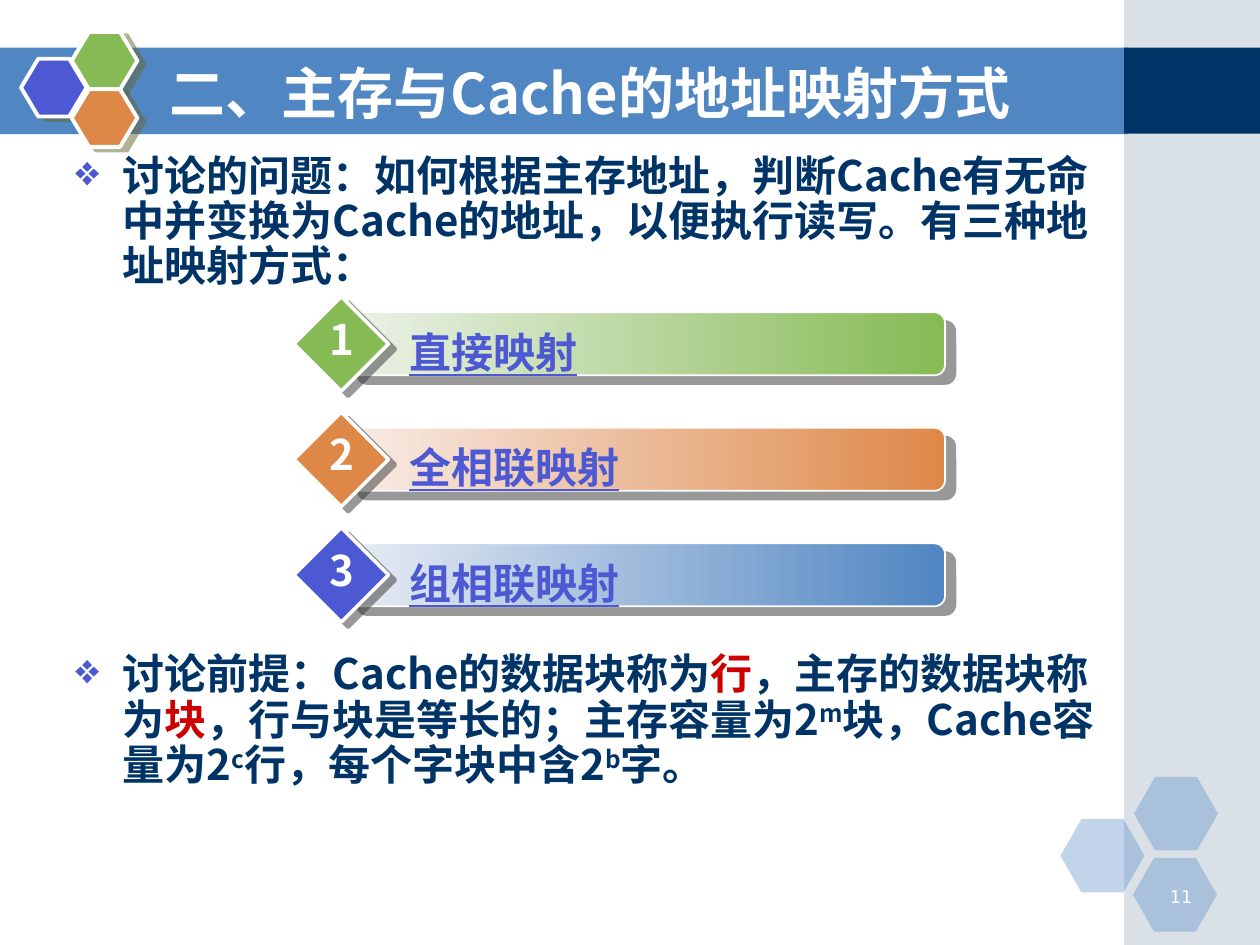
"""Build the slide on the mapping of main memory addresses to the cache."""
import pptx
import pptx.dml.color
import pptx.enum.shapes
import pptx.enum.text
import pptx.oxml
import pptx.oxml.ns
import pptx.util

Pt = pptx.util.Pt
qn = pptx.oxml.ns.qn
SHAPE = pptx.enum.shapes.MSO_SHAPE
ALIGN = pptx.enum.text.PP_ALIGN
ANCHOR = pptx.enum.text.MSO_ANCHOR
NAMESPACE = pptx.oxml.ns.nsdecls("a")
FONT = "Noto Sans CJK SC"
COLORS = {
    "white": "FFFFFF", "navy": "003366", "blue": "5086C2", "indigo": "4C59D2",
    "green": "85BA54", "orange": "DE8848", "red": "CC0000", "side": "A0B5C4",
    "pale_green": "ECF2E8", "pale_orange": "F8ECE7", "pale_blue": "E8ECF4",
    "logo_shadow": "666633", "shadow": "333333",
}
BAR_TOP, BAR_PITCH = 178.5, 66


def rgb(name):
    """Return the named colour."""
    return pptx.dml.color.RGBColor.from_string(COLORS[name])


def add_shadow(shape, color, distance, angle):
    """Give the shape a hard, half transparent shadow."""
    effects = shape._element.spPr.find(qn("a:effectLst"))
    effects.append(pptx.oxml.parse_xml(
        f'<a:outerShdw {NAMESPACE} dist="{Pt(distance)}" dir="{angle * 60000}" algn="ctr">'
        f'<a:srgbClr val="{COLORS[color]}"><a:alpha val="50000"/></a:srgbClr></a:outerShdw>'))


def add_shape(slide, kind, box, fill, adjustments=(), alpha=None, line_width=None):
    """Add a preset shape with a solid fill and an optional white outline."""
    shape = slide.shapes.add_shape(kind, *map(Pt, box))
    shape.shadow.inherit = False
    for index, value in enumerate(adjustments):
        shape.adjustments[index] = value
    shape.fill.solid()
    shape.fill.fore_color.rgb = rgb(fill)
    if alpha:
        color = shape._element.spPr.find(qn("a:solidFill"))[0]
        color.append(pptx.oxml.parse_xml(f'<a:alpha {NAMESPACE} val="{alpha * 1000}"/>'))
    if line_width:
        shape.line.color.rgb = rgb("white")
        shape.line.width = Pt(line_width)
    else:
        shape.line.fill.background()
    return shape


def add_run(paragraph, text, size, color, bold=True, font=FONT, underline=None, raised=False):
    """Add one formatted run to the paragraph."""
    run = paragraph.add_run()
    run.text = text
    run.font.size = Pt(size)
    run.font.bold = bold
    run.font.underline = underline
    run.font.color.rgb = rgb(color)
    run.font.name = font
    properties = run._r.get_or_add_rPr()
    properties.find(qn("a:latin")).addnext(
        pptx.oxml.parse_xml(f'<a:ea {NAMESPACE} typeface="{font}"/>'))
    if raised:
        properties.set("baseline", "30000")


def add_text(slide, box, wrap=True, anchor=ANCHOR.TOP, align=ALIGN.LEFT):
    """Add a text box and return its first paragraph."""
    frame = slide.shapes.add_textbox(*map(Pt, box)).text_frame
    frame.word_wrap = wrap
    frame.vertical_anchor = anchor
    paragraph = frame.paragraphs[0]
    paragraph.alignment = align
    return paragraph


def add_bullet_text(slide, top, runs):
    """Add a bulleted paragraph from text, colour and raised triples."""
    paragraph = add_text(slide, (36, top, 607.5, 108))
    paragraph.line_spacing = 0.9
    properties = paragraph._p.get_or_add_pPr()
    properties.set("marL", str(Pt(27)))
    properties.set("indent", str(-Pt(27)))
    for xml in (f'<a:buClr {NAMESPACE}><a:srgbClr val="{COLORS["indigo"]}"/></a:buClr>',
                f'<a:buChar {NAMESPACE} char="❖"/>'):
        properties.append(pptx.oxml.parse_xml(xml))
    for text, color, raised in runs:
        add_run(paragraph, text, 24, color, raised=raised)


def add_background(slide):
    """Add the banner, the side panel and both groups of hexagons."""
    add_shape(slide, SHAPE.RECTANGLE, (0, 27.2, 644.5, 49.4), "blue")
    add_shape(slide, SHAPE.RECTANGLE, (642.3, 0, 77.7, 540), "side", alpha=40)
    add_shape(slide, SHAPE.RECTANGLE, (642.3, 27.2, 77.7, 49.2), "navy")
    for left, top in ((606, 468), (648, 444), (647.4, 490.3)):
        add_shape(slide, SHAPE.HEXAGON, (left, top, 48, 42), "blue", (0.286, 1.155), alpha=35)
    for left, top, color in ((12, 33.6, "indigo"), (41, 18.2, "green"), (41, 51, "orange")):
        hexagon = add_shape(slide, SHAPE.HEXAGON, (left, top, 37.5, 33), color,
                            (0.3, 1.155), line_width=2.25)
        add_shadow(hexagon, "logo_shadow", 4.5, 27)


def add_mapping(slide, index, label, pale, bar_color, diamond_color):
    """Add one numbered bar naming a mapping method."""
    top = BAR_TOP + index * BAR_PITCH
    bar = add_shape(slide, SHAPE.ROUNDED_RECTANGLE, (198, top, 342, 36), bar_color,
                    (0.167,), line_width=1)
    bar.fill.gradient()
    bar.fill.gradient_angle = 0
    for stop, color in zip(bar.fill.gradient_stops, (pale, bar_color)):
        stop.color.rgb = rgb(color)
    add_shadow(bar, "shadow", 7.8, 40)
    diamond = add_shape(slide, SHAPE.DIAMOND, (168, top - 9, 54, 54), diamond_color, line_width=2)
    add_shadow(diamond, "shadow", 5, 37)
    paragraph = add_text(slide, (226.7, top + 4.5, 259, 36))
    add_run(paragraph, label, 24, "indigo", underline=True)
    paragraph = add_text(slide, (181, top - 3, 26.6, 36), wrap=False)
    add_run(paragraph, str(index + 1), 24, "white")


def main():
    """Build and save the slide."""
    presentation = pptx.Presentation()
    presentation.slide_width, presentation.slide_height = Pt(720), Pt(540)
    slide = presentation.slides.add_slide(presentation.slide_layouts[6])
    add_background(slide)
    paragraph = add_text(slide, (652.3, 502.5, 36, 18), align=ALIGN.RIGHT)
    add_run(paragraph, "11", 10, "white", bold=False, font="DejaVu Sans")
    paragraph = add_text(slide, (90, 30, 528, 45), anchor=ANCHOR.MIDDLE)
    add_run(paragraph, "二、主存与Cache的地址映射方式", 32, "white")
    add_bullet_text(slide, 85, [
        ("讨论的问题：如何根据主存地址，判断Cache有无命中并变换为Cache的地址，"
         "以便执行读写。有三种地址映射方式：", "navy", False)])
    mappings = (("直接映射", "pale_green", "green", "green"),
                ("全相联映射", "pale_orange", "orange", "orange"),
                ("组相联映射", "pale_blue", "blue", "indigo"))
    for index, mapping in enumerate(mappings):
        add_mapping(slide, index, *mapping)
    add_bullet_text(slide, 370, [
        ("讨论前提：Cache的数据块称为", "navy", False), ("行", "red", False),
        ("，主存的数据块称为", "navy", False), ("块", "red", False),
        ("，行与块是等长的；主存容量为2", "navy", False), ("m", "navy", True),
        ("块，Cache容量为2", "navy", False), ("c", "navy", True),
        ("行，每个字块中含2", "navy", False), ("b", "navy", True),
        ("字。", "navy", False)])
    presentation.save("out.pptx")


if __name__ == "__main__":
    main()
